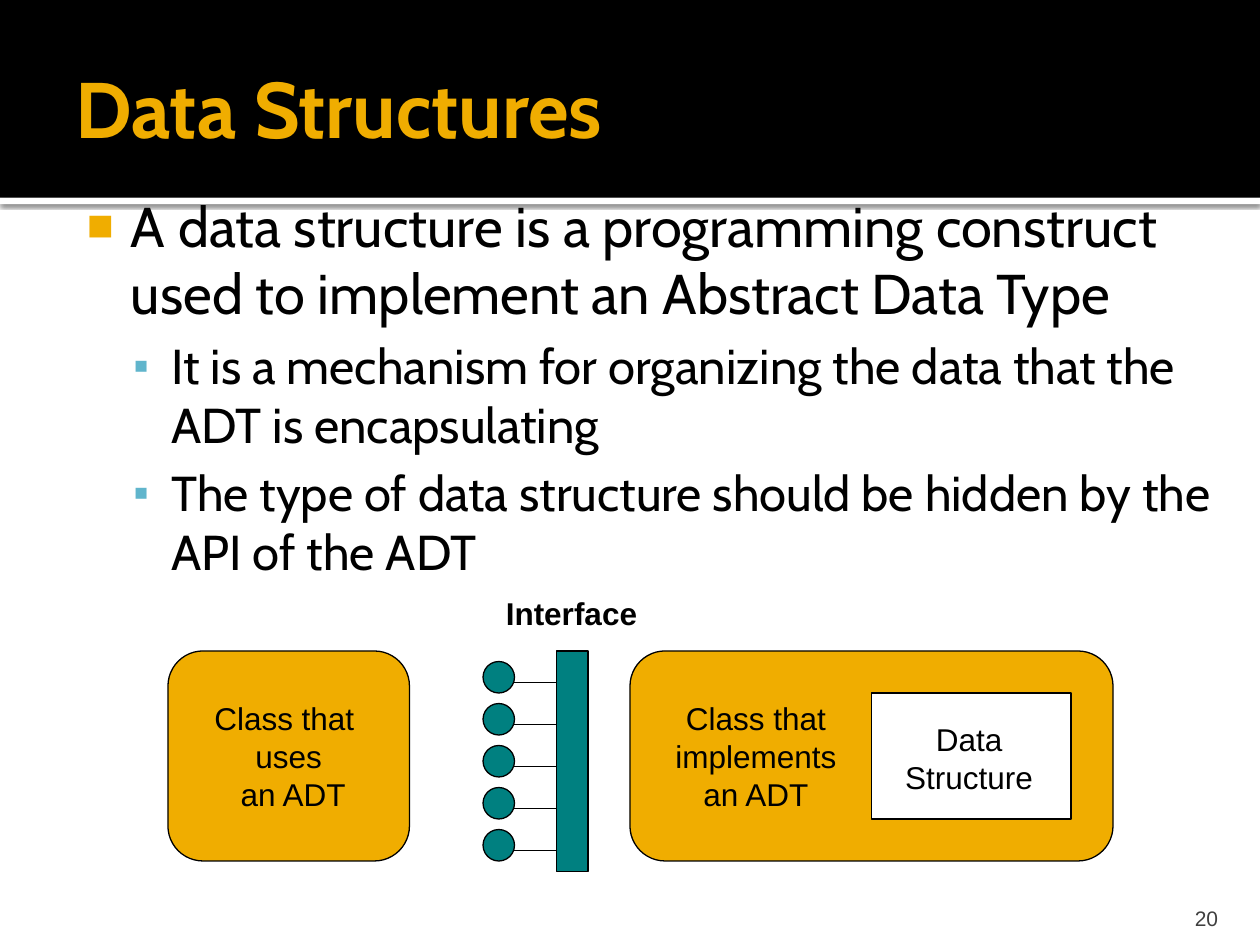
"""Build the Data Structures slide with its interface diagram."""
from lxml import etree
from pptx import Presentation
from pptx.dml.color import RGBColor
from pptx.enum.shapes import MSO_CONNECTOR, MSO_SHAPE
from pptx.enum.text import MSO_ANCHOR, MSO_AUTO_SIZE, PP_ALIGN
from pptx.oxml import parse_xml
from pptx.oxml.ns import nsdecls, qn
from pptx.util import Inches, Pt

RECT, ROUNDED, OVAL = MSO_SHAPE.RECTANGLE, MSO_SHAPE.ROUNDED_RECTANGLE, MSO_SHAPE.OVAL
LEFT, CENTER, RIGHT = PP_ALIGN.LEFT, PP_ALIGN.CENTER, PP_ALIGN.RIGHT
TOP, MIDDLE, BOTTOM = MSO_ANCHOR.TOP, MSO_ANCHOR.MIDDLE, MSO_ANCHOR.BOTTOM
STRAIGHT, GROW = MSO_CONNECTOR.STRAIGHT, MSO_AUTO_SIZE.SHAPE_TO_FIT_TEXT
BLACK, WHITE, AMBER, TEAL, BLUE, GREY = "000000", "FFFFFF", "F0AD00", "008080", "60B5CC", "3F3F3F"
CELL = Inches(1) / 12

deck = Presentation()
deck.slide_width, deck.slide_height = round(120 * CELL), round(90 * CELL)
page = deck.slides.add_slide(deck.slide_layouts[6])


def add_box(kind, at, fill, outlined=True):
    """Add a filled shape placed in grid cells."""
    box = page.shapes.add_shape(kind, *(round(cells * CELL) for cells in at))
    box.shadow.inherit = False
    box.fill.solid()
    box.fill.fore_color.rgb = RGBColor.from_string(fill)
    if outlined:
        box.line.color.rgb = RGBColor.from_string(BLACK)
        box.line.width = Pt(0.75)
    else:
        box.line.fill.background()
    return box


def write(box, lines, size=18, name="Arial", color=BLACK, bold=False, align=CENTER,
          anchor=TOP, wrap=False, insets=(0.1, 0.05, 0.1, 0.05)):
    """Fill a box with one paragraph per line and return the paragraphs."""
    frame = box.text_frame
    frame.word_wrap, frame.vertical_anchor = wrap, anchor
    for side, inset in zip(("left", "top", "right", "bottom"), insets):
        setattr(frame, f"margin_{side}", Inches(inset))
    for index, line in enumerate(lines):
        para = frame.add_paragraph() if index else frame.paragraphs[0]
        para.alignment = align
        span = para.add_run()
        span.text = line
        for key, value in {"size": Pt(size), "name": name, "bold": bold}.items():
            setattr(span.font, key, value)
        span.font.color.rgb = RGBColor.from_string(color)
    return frame.paragraphs


strip = add_box(RECT, (0, 18.84, 120, 0.6), WHITE, outlined=False)
strip_effects = strip.element.spPr.find(qn("a:effectLst"))
strip_effects.append(parse_xml(
    f'<a:outerShdw {nsdecls("a")} blurRad="{Pt(2.5)}" dist="{Pt(0.8)}" dir="5400000" '
    f'rotWithShape="0"><a:srgbClr val="{BLACK}"><a:alpha val="60000"/></a:srgbClr></a:outerShdw>'))
add_box(RECT, (0, 0, 120, 18.84), BLACK, outlined=False)

user_class = add_box(ROUNDED, (16, 62, 23, 20), AMBER)
write(user_class, ["Class that ", "uses", " an ADT"], anchor=MIDDLE)
add_box(ROUNDED, (60, 62, 46, 20), AMBER)
add_box(RECT, (83, 66, 19, 12), WHITE)
add_box(RECT, (53, 62, 3, 21), TEAL)

for row in range(63, 83, 4):
    ends = (48, row + 2, 53, row + 2)
    wire = page.shapes.add_connector(STRAIGHT, *(round(cells * CELL) for cells in ends))
    wire.line.color.rgb = RGBColor.from_string(BLACK)
    wire.line.width = Pt(0.75)
    etree.SubElement(wire.element.spPr, qn("a:effectLst"))
    add_box(OVAL, (46, row, 3, 3), TEAL)

labels = [
    ((6, 2, 108, 16.44), ["Data Structures"],
     dict(size=45, name="Cabin", color=AMBER, bold=True, align=LEFT, anchor=MIDDLE,
          wrap=True, insets=(0.1, 0.05, 0.05, 0.05))),
    ((107.6, 85, 9.6, 3.6), ["20"],
     dict(size=12, color=GREY, align=RIGHT, anchor=BOTTOM, wrap=True,
          insets=(0.1, 0.05, 0.1, 0))),
    ((63.1, 66, 17.8, 12), ["Class that", "implements", "an ADT"], {}),
    ((85, 68, 14.6, 8.4), ["Data", "Structure"], {}),
    ((47, 56, 14.9, 4.8), ["Interface"], dict(bold=True, align=LEFT)),
]
for at, lines, formats in labels:
    label = page.shapes.add_textbox(*(round(cells * CELL) for cells in at))
    write(label, lines, **formats)
    if not label.text_frame.word_wrap:
        label.text_frame.auto_size = GROW

body = page.shapes.add_textbox(*(round(cells * CELL) for cells in (6, 17, 114, 43)))
points = write(body, [
    "A data structure is a programming construct used to implement an Abstract Data Type",
    "It is a mechanism for organizing the data that the ADT is encapsulating",
    "The type of data structure should be hidden by the API of the ADT",
], size=32, name="Cabin", align=LEFT, wrap=True, insets=(0.06, 0.1, 0.1, 0.05))
main_style = (0, 32, 0, 0.48, -0.35, "■", AMBER, 80)
sub_style = (1, 28, 5.6, 0.8, -0.3, "▪", BLUE, 90)
for para, style in zip(points, (main_style, sub_style, sub_style)):
    level, size, before, margin, indent, bullet, color, percent = style
    para.level, para.space_before = level, Pt(before)
    para.runs[0].font.size = Pt(size)
    properties = para._p.get_or_add_pPr()
    properties.set("marL", str(Inches(margin)))
    properties.set("indent", str(Inches(indent)))
    bullet_color = etree.SubElement(properties, qn("a:buClr"))
    etree.SubElement(bullet_color, qn("a:srgbClr"), val=color)
    etree.SubElement(properties, qn("a:buSzPct"), val=str(percent * 1000))
    etree.SubElement(properties, qn("a:buFont"), typeface="Arial")
    etree.SubElement(properties, qn("a:buChar"), char=bullet)

deck.save("out.pptx")
